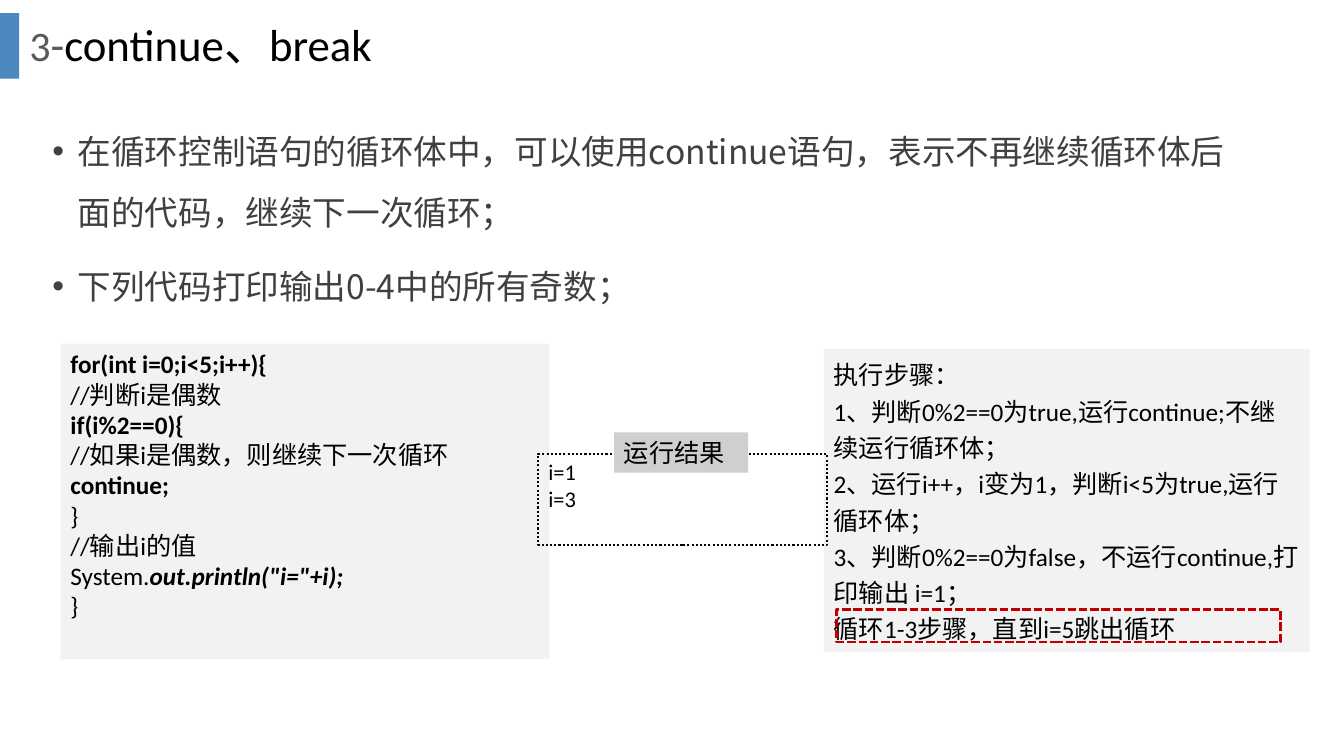
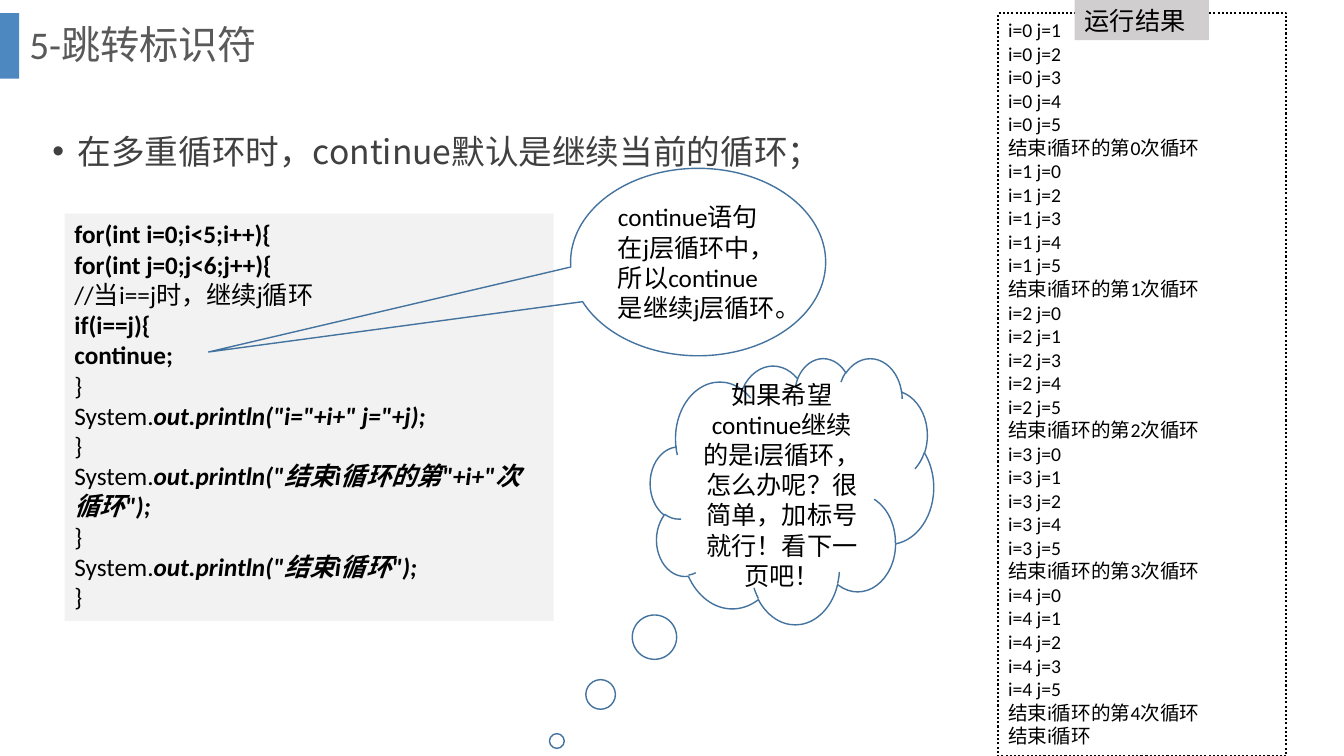
from lxml import etree
from pptx import Presentation
from pptx.dml.color import RGBColor
from pptx.enum.dml import MSO_LINE
from pptx.enum.shapes import MSO_SHAPE
from pptx.enum.text import MSO_ANCHOR, MSO_AUTO_SIZE, PP_ALIGN
from pptx.oxml.ns import qn
from pptx.util import Inches, Pt

# Shared look
RECTANGLE = MSO_SHAPE.RECTANGLE
SPEECH = MSO_SHAPE.OVAL_CALLOUT
THOUGHT = MSO_SHAPE.CLOUD_CALLOUT
DASH, DOT = MSO_LINE.SQUARE_DOT, MSO_LINE.ROUND_DOT
TOP, MIDDLE = MSO_ANCHOR.TOP, MSO_ANCHOR.MIDDLE
LEFT, CENTER = PP_ALIGN.LEFT, PP_ALIGN.CENTER
LATIN, CHINESE = "Calibri", "Noto Sans CJK SC"
BLACK, TITLE_GREY, BODY_GREY = "000000", "595959", "404040"
PANEL, LABEL = "F2F2F2", "D0CECE"
ACCENT, OUTLINE, RED = "2E75B6", "43739E", "C00000"
BOLD = {"bold": True}
CALL = {"bold": True, "italic": True}


def color(hex_string):
    return RGBColor.from_string(hex_string)


def place(shape, left, top, width, height):
    shape.left, shape.top = Inches(left), Inches(top)
    shape.width, shape.height = Inches(width), Inches(height)


# Text
def format_run(run, size, ink, font=LATIN, bold=False, italic=False):
    run.font.size = Pt(size)
    run.font.color.rgb = color(ink)
    run.font.name = font
    run.font.bold, run.font.italic = bold, italic
    east_asian = etree.SubElement(run.font._element, qn("a:ea"))
    east_asian.set("typeface", CHINESE)


def write(shape, lines, size=18, ink=BLACK, font=LATIN, align=LEFT,
          anchor=TOP, spacing=None, before=0, hanging=0):
    """Each line is a string or a list of (text, format) runs."""
    frame = shape.text_frame
    frame.word_wrap = True
    frame.auto_size = MSO_AUTO_SIZE.NONE
    frame.vertical_anchor = anchor
    for index, line in enumerate(lines):
        paragraph = frame.add_paragraph() if index else frame.paragraphs[0]
        paragraph.alignment = align
        paragraph.space_before = Pt(before)
        if spacing:
            paragraph.line_spacing = spacing
        if hanging:
            properties = paragraph._p.get_or_add_pPr()
            properties.set("marL", str(Inches(hanging)))
            properties.set("indent", str(-Inches(hanging)))
        for text, changes in [(line, {})] if isinstance(line, str) else line:
            run = paragraph.add_run()
            run.text = text
            format_run(run, **{"size": size, "ink": ink, "font": font, **changes})


# Shapes
def add_box(slide, box, kind=RECTANGLE, fill=None, line=None, weight=1,
            dash=None, adjust=()):
    shape = slide.shapes.add_shape(kind, 0, 0, 0, 0)
    place(shape, *box)
    shape.shadow.inherit = False
    if fill:
        shape.fill.solid()
        shape.fill.fore_color.rgb = color(fill)
    else:
        shape.fill.background()
    if line:
        shape.line.color.rgb = color(line)
        shape.line.width = Pt(weight)
        if dash:
            shape.line.dash_style = dash
    else:
        shape.line.fill.background()
    for index, value in enumerate(adjust):
        shape.adjustments[index] = value
    return shape


def add_panel(slide, box, lines, **text_format):
    write(add_box(slide, box, fill=PANEL), lines, **text_format)


def add_callout(slide, kind, box, adjust, text, align=LEFT):
    callout = add_box(slide, box, kind, line=OUTLINE, adjust=adjust)
    write(callout, [text], align=align, anchor=MIDDLE)


def add_result(slide, box, label_left, label_top, lines, size):
    write(add_box(slide, box, line=BLACK, weight=1.5, dash=DOT), lines, size=size)
    label = add_box(slide, (label_left, label_top, 1.33, 0.4), fill=LABEL)
    write(label, ["运行结果"])


# Slide frame
def add_accent_to_master(presentation, slide):
    bar = add_box(slide, (0, 0.13, 0.19, 0.65), fill=ACCENT)
    tint = bar.element.find(".//" + qn("a:srgbClr"))
    etree.SubElement(tint, qn("a:alpha")).set("val", "85000")
    bar.element.nvSpPr.cNvPr.set("id", "20")
    presentation.slide_master.shapes.element.append(bar.element)


def add_slide(presentation, title, title_size, bullets):
    slide = presentation.slides.add_slide(presentation.slide_layouts[1])
    heading, body = slide.shapes.title, slide.placeholders[1]
    place(heading, 0.19, 0, 12.66, 0.93)
    write(heading, [title], size=title_size, ink=TITLE_GREY, anchor=MIDDLE,
          spacing=0.9)
    place(body, 0.42, 1.05, 12.05, 1.94)
    write(body, bullets, size=24, ink=BODY_GREY, font=CHINESE, spacing=1.5,
          before=10, hanging=0.25)
    return slide


def print_call(argument):
    return [("System.", {}), (f"out.println({argument});", CALL)]


def bold(text):
    return [(text, BOLD)]


# Slides
def build_continue_slide(presentation):
    title = [("3", {"size": 30}), ("-", {}), ("continue、break", {"ink": BLACK})]
    slide = add_slide(presentation, title, 32, [
        "在循环控制语句的循环体中，可以使用continue语句，表示不再继续循环体后面的代码，继续下一次循环；",
        "下列代码打印输出0-4中的所有奇数；",
    ])
    add_panel(slide, (0.6, 3.41, 4.85, 3.13), [
        bold("for(int i=0;i<5;i++){"),
        "//判断i是偶数",
        bold("if(i%2==0){"),
        "//如果i是偶数，则继续下一次循环",
        bold("continue;"),
        "}",
        "//输出i的值",
        print_call('"i="+i'),
        "}",
    ])
    add_panel(slide, (8.17, 3.46, 4.82, 3.01), [
        "执行步骤：",
        "1、判断0%2==0为true,运行continue;不继续运行循环体；",
        "2、运行i++，i变为1，判断i<5为true,运行循环体；",
        "3、判断0%2==0为false，不运行continue,打印输出 i=1；",
        "循环1-3步骤，直到i=5跳出循环",
    ], spacing=1.2)
    add_box(slide, (8.3, 6.05, 4.4, 0.32), line=RED, weight=2, dash=DASH)
    add_result(slide, (5.34, 4.5, 2.86, 0.91), 6.09, 4.29, ["i=1", "i=3"], 16)
    return slide


def build_label_slide(presentation):
    slide = add_slide(presentation, "5-跳转标识符", 28,
                      ["在多重循环时，continue默认是继续当前的循环；"])
    add_panel(slide, (0.64, 2.12, 4.85, 4.04), [
        bold("for(int i=0;i<5;i++){"),
        bold("for(int j=0;j<6;j++){"),
        "//当i==j时，继续j循环",
        bold("if(i==j){"),
        bold("continue;"),
        "}",
        print_call('"i="+i+" j="+j'),
        "}",
        print_call('"结束i循环的第"+i+"次循环"'),
        "}",
        print_call('"结束i循环"'),
        "}",
    ])
    output = []
    for i in range(5):
        output += [f"i={i} j={j}" for j in range(6) if j != i]
        output.append(f"结束i循环的第{i}次循环")
    output.append("结束i循环")
    add_result(slide, (9.9, 0.13, 2.86, 7.37), 10.66, 0, output, 14)
    add_callout(slide, SPEECH, (5.66, 1.67, 2.53, 1.86), (-1.92, 0.48),
                "continue语句在j层循环中，所以continue是继续j层循环。")
    add_callout(slide, THOUGHT, (6.45, 3.55, 2.81, 2.64), (-0.83, 0.94),
                "如果希望continue继续的是i层循环，怎么办呢？很简单，加标号就行！看下一页吧！",
                align=CENTER)


def main():
    presentation = Presentation()
    presentation.slide_width, presentation.slide_height = Inches(13.33), Inches(7.5)
    first_slide = build_continue_slide(presentation)
    add_accent_to_master(presentation, first_slide)
    build_label_slide(presentation)
    presentation.save("out.pptx")


if __name__ == "__main__":
    main()
